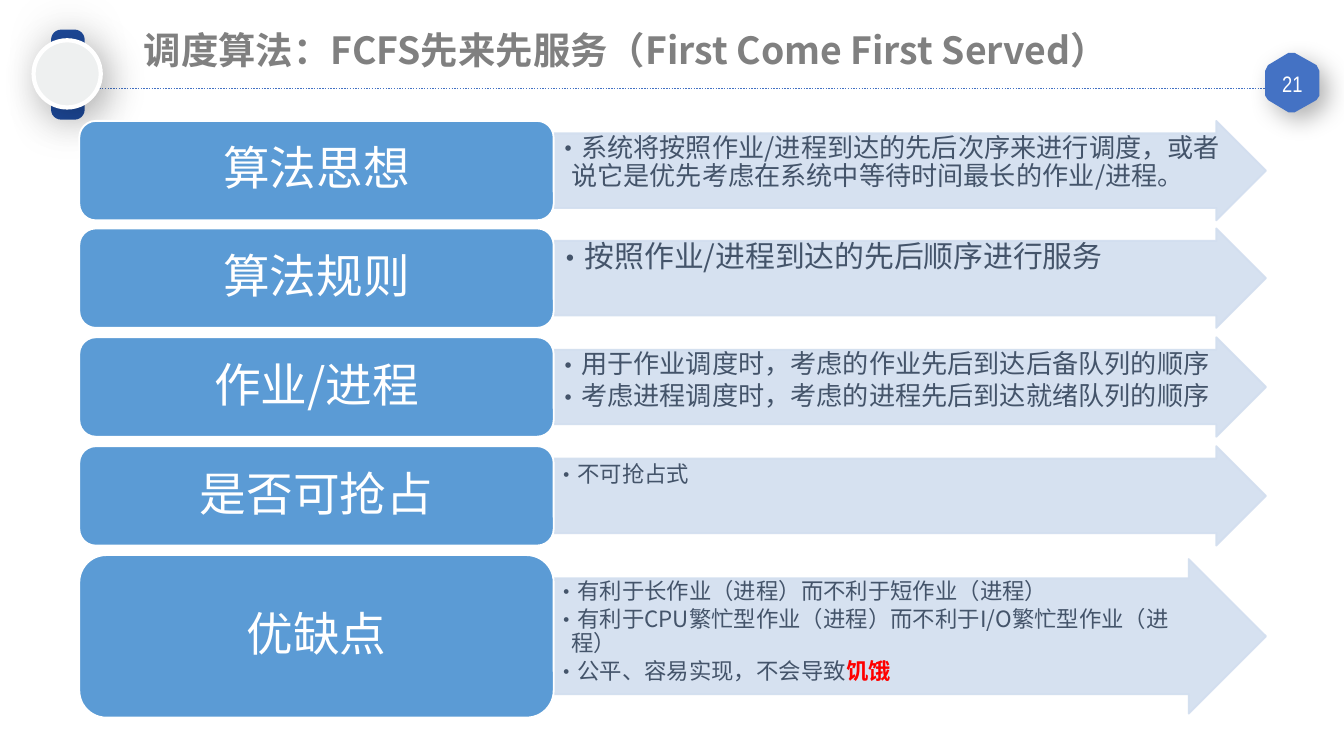
from lxml import etree
from pptx import Presentation, util as u
from pptx.dml.color import RGBColor
from pptx.enum import dml, shapes, text
from pptx.oxml.ns import qn

PX = 9144  # 100 px to the inch
SANS = "Noto Sans CJK SC"


def paint(shape, fill, line=None, width=1, alpha=100, shadow=None):
    """Shadow is (opacity %, blur pt, distance pt, angle in degrees)."""
    shape.fill.solid()
    shape.fill.fore_color.rgb = RGBColor.from_string(fill)
    if line:
        shape.line.color.rgb = RGBColor.from_string(line)
        shape.line.width = u.Pt(width)
    else:
        shape.line.fill.background()
    shape.shadow.inherit = False
    properties = shape._element.spPr
    if alpha < 100:
        for color in properties.iter(qn("a:srgbClr")):
            etree.SubElement(color, qn("a:alpha"), val=str(alpha * 1000))
    if shadow:
        opacity, blur, distance, angle = shadow
        outer = etree.SubElement(
            properties.find(qn("a:effectLst")), qn("a:outerShdw"),
            blurRad=str(u.Pt(blur)), dist=str(u.Pt(distance)),
            dir=str(angle * 60000), algn="ctr", rotWithShape="0")
        color = etree.SubElement(outer, qn("a:srgbClr"), val="000000")
        etree.SubElement(color, qn("a:alpha"), val=str(opacity * 1000))


def style(run, size, color, bold=False, name=SANS):
    font = run.font
    font.size = u.Pt(size)
    font.bold = bold
    font.color.rgb = RGBColor.from_string(color)
    font.name = name
    etree.SubElement(run._r.get_or_add_rPr(), qn("a:ea"), typeface=name)


prs = Presentation()
prs.slide_width = 1000 * PX
prs.slide_height = prs.slide_width * 9 // 16
slide = prs.slides.add_slide(prs.slide_layouts[6])
canvas = slide.shapes

# Header rule
rule = canvas.add_connector(shapes.MSO_CONNECTOR.STRAIGHT,
                            33 * PX, 66 * PX, 943 * PX, 66 * PX)
rule.line.color.rgb = RGBColor.from_string("4472C4")
rule.line.width = u.Pt(0.75)
rule.line.dash_style = dml.MSO_LINE.ROUND_DOT
etree.SubElement(rule._element.spPr, qn("a:effectLst"))

# Page number badge
outline = canvas.build_freeform(942, 53, scale=PX)
outline.add_line_segments([
    (944, 49), (959, 40), (963, 40), (979, 49), (981, 53), (981, 71),
    (979, 74), (963, 83), (959, 83), (944, 74), (942, 71)])
badge = outline.convert_to_shape()
paint(badge, "4472C4", "4472C4", shadow=(30, 13, 6, 45))

page_number = canvas.add_textbox(942 * PX, 50 * PX, 39 * PX, 25 * PX)
frame = page_number.text_frame
frame.word_wrap = True
frame.vertical_anchor = text.MSO_ANCHOR.MIDDLE
frame.margin_left = frame.margin_right = 7 * PX
frame.margin_top = frame.margin_bottom = 4 * PX
frame.text = "21"
frame.paragraphs[0].alignment = text.PP_ALIGN.CENTER
style(frame.paragraphs[0].runs[0], 12, "FFFFFF", name="Arial Narrow")

# Round ornament on its strap
strap = canvas.add_shape(shapes.MSO_SHAPE.ROUNDED_RECTANGLE,
                         17 * PX, 43 * PX, 67 * PX, 25 * PX)
strap.rotation = 270
strap.adjustments[0] = 0.3
paint(strap, "1D4999", shadow=(17, 27, 0, 0))
dial = canvas.add_shape(shapes.MSO_SHAPE.OVAL, 25 * PX, 30 * PX, 50 * PX, 50 * PX)
paint(dial, "EEF0F0", "FFFFFF", 2.25, shadow=(28, 22, 6, 45))

# Title
title = canvas.add_textbox(100 * PX, 16 * PX, 767 * PX, 41 * PX)
frame = title.text_frame
frame.word_wrap = True
frame.auto_size = text.MSO_AUTO_SIZE.SHAPE_TO_FIT_TEXT
frame.margin_left = frame.margin_right = 7 * PX
frame.margin_top = frame.margin_bottom = 4 * PX
frame.text = "调度算法：FCFS先来先服务（First Come First Served）"
style(frame.paragraphs[0].runs[0], 20, "808080", bold=True)

# Rows: heading, row height, arrow height, text size, indent, line spacing, points
rows = [
    ("算法思想", 74, 74, 14, 12, 0.9,
     ["系统将按照作业/进程到达的先后次序来进行调度，或者说它是优先考虑在系统中等待时间最长的作业/进程。"]),
    ("算法规则", 74, 74, 16, 19, 0.9,
     ["按照作业/进程到达的先后顺序进行服务"]),
    ("作业/进程", 74, 74, 14, 12, 0.9,
     ["用于作业调度时，考虑的作业先后到达后备队列的顺序",
      "考虑进程调度时，考虑的进程先后到达就绪队列的顺序"]),
    ("是否可抢占", 74, 74, 12, 12, 1.0,
     ["不可抢占式"]),
    ("优缺点", 121, 115, 12, 12, 0.9,
     ["有利于长作业（进程）而不利于短作业（进程）",
      "有利于CPU繁忙型作业（进程）而不利于I/O繁忙型作业（进程）",
      "公平、容易实现，不会导致"]),
]
for index, (heading, height, arrow_height, size, indent, spacing, points) in enumerate(rows):
    top = 90 + 323 * index // 4
    arrow_top = top + (height - arrow_height) // 2
    arrow = canvas.add_shape(shapes.MSO_SHAPE.RIGHT_ARROW,
                             412 * PX, arrow_top * PX, 530 * PX, arrow_height * PX)
    arrow.adjustments[0], arrow.adjustments[1] = 0.75, 0.5
    paint(arrow, "D2DEEF", "D2DEEF", alpha=90)
    frame = arrow.text_frame
    frame.word_wrap = True
    frame.vertical_anchor = text.MSO_ANCHOR.TOP
    frame.margin_left = frame.margin_right = frame.margin_top = frame.margin_bottom = PX
    frame.text = "\n".join(points)
    for paragraph in frame.paragraphs:
        bullet = paragraph._p.get_or_add_pPr()
        bullet.set("marL", str(indent * PX))
        bullet.set("indent", str(-indent * PX))
        etree.SubElement(bullet, qn("a:buFont"), typeface=SANS)
        etree.SubElement(bullet, qn("a:buChar"), char="•")
        paragraph.level = 1
        paragraph.alignment = text.PP_ALIGN.LEFT
        paragraph.line_spacing = spacing
        paragraph.space_after = u.Pt(2)
        style(paragraph.runs[0], size, "44546A")

    label = canvas.add_shape(shapes.MSO_SHAPE.ROUNDED_RECTANGLE,
                             59 * PX, top * PX, 353 * PX, height * PX)
    paint(label, "5B9BD5", "FFFFFF")
    label.text_frame.text = heading
    label.text_frame.vertical_anchor = text.MSO_ANCHOR.MIDDLE
    paragraph = label.text_frame.paragraphs[0]
    paragraph.alignment = text.PP_ALIGN.CENTER
    paragraph.line_spacing = 0.9
    paragraph.space_after = u.Pt(3)
    style(paragraph.runs[0], 25, "FFFFFF")

# The warning closes the last point of the last row
warning = frame.paragraphs[-1].add_run()
warning.text = "饥饿"
style(warning, 12, "FF0000", bold=True)

prs.save("out.pptx")
